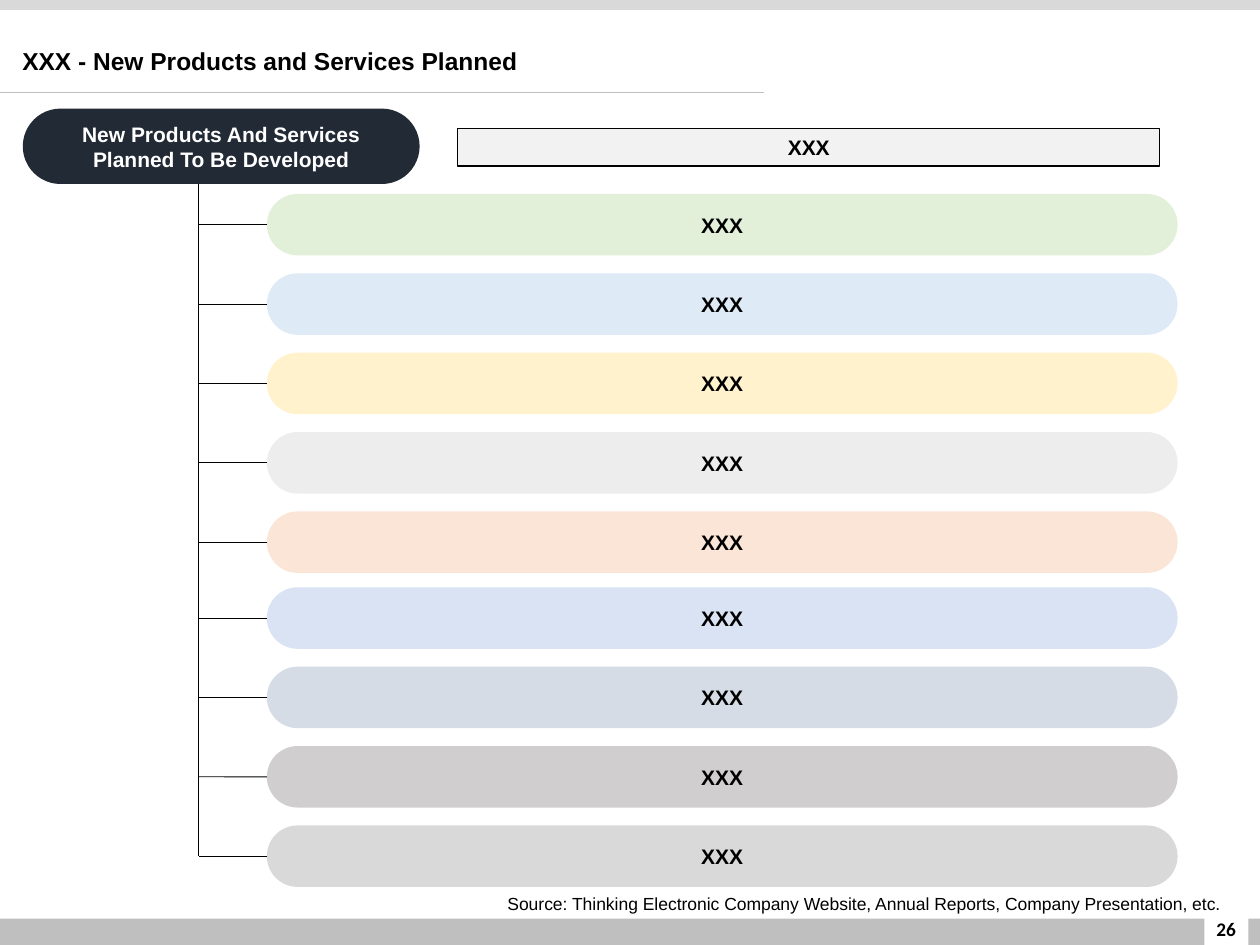
import pptx
import pptx.util
import pptx.dml.color
import pptx.enum.shapes
import pptx.enum.text
import pptx.oxml.ns
import lxml.etree

Cm = pptx.util.Cm
Pt = pptx.util.Pt
SHAPES = pptx.enum.shapes.MSO_SHAPE
ALIGN = pptx.enum.text.PP_ALIGN
ANCHOR = pptx.enum.text.MSO_ANCHOR

COLORS = {
    "black": "000000",
    "white": "FFFFFF",
    "footer": "BFBFBF",
    "top_band": "D9D9D9",
    "header": "222A35",
    "heading_fill": "F2F2F2",
    "green": "E2F0D9",
    "sky": "DEEBF7",
    "yellow": "FFF2CC",
    "silver": "EDEDED",
    "orange": "FBE5D6",
    "blue": "DAE3F3",
    "slate": "D6DCE5",
    "taupe": "D0CECE",
    "gray": "D9D9D9",
}

PILL_GROUPS = [
    (3.91, ["green", "sky", "yellow", "silver", "orange"]),
    (11.84, ["blue", "slate", "taupe", "gray"]),
]
PILL_LEFT, PILL_WIDTH, PILL_HEIGHT, PILL_STEP = 5.38, 18.36, 1.24, 1.6
SPINE_LEFT, SPINE_TOP = 4.01, 2.64
PILL_MARGINS = (0.18, 0.1)


def rgb(name):
    return pptx.dml.color.RGBColor.from_string(COLORS[name])


def write_text(shape, text, size=12, font="Arial", color="black", bold=True,
               align=ALIGN.CENTER, anchor=ANCHOR.MIDDLE, margins=(0.25, 0.13)):
    frame = shape.text_frame
    frame.word_wrap = True
    frame.vertical_anchor = anchor
    frame.margin_left = frame.margin_right = Cm(margins[0])
    frame.margin_top = frame.margin_bottom = Cm(margins[1])
    paragraph = frame.paragraphs[0]
    paragraph.alignment = align
    run = paragraph.add_run()
    run.text = text
    run.font.size = Pt(size)
    run.font.name = font
    run.font.bold = bold
    run.font.color.rgb = rgb(color)


def add_text(slide, box, text, **text_format):
    shape = slide.shapes.add_textbox(*map(Cm, box))
    write_text(shape, text, **text_format)


def add_box(slide, box, fill, kind=SHAPES.RECTANGLE, line=None):
    shape = slide.shapes.add_shape(kind, *map(Cm, box))
    shape.shadow.inherit = False
    shape.fill.solid()
    shape.fill.fore_color.rgb = rgb(fill)
    if line:
        shape.line.color.rgb = rgb(line)
        shape.line.width = Pt(0.75)
    else:
        shape.line.fill.background()
    return shape


def add_pill(slide, box, fill, text, **text_format):
    shape = add_box(slide, box, fill, SHAPES.ROUNDED_RECTANGLE)
    shape.adjustments[0] = 0.5
    write_text(shape, text, margins=PILL_MARGINS, **text_format)
    return shape


def add_line(slide, start, end, color="black"):
    connector = slide.shapes.add_connector(
        pptx.enum.shapes.MSO_CONNECTOR.STRAIGHT, *map(Cm, start + end))
    connector.line.color.rgb = rgb(color)
    connector.line.width = Pt(0.5)
    properties = connector._element.spPr
    lxml.etree.SubElement(properties, pptx.oxml.ns.qn("a:effectLst"))
    return connector


def add_frame(slide):
    add_box(slide, (0, 18.52, 25.45, 0.58), "footer")
    add_box(slide, (0, 0, 25.45, 0.2), "top_band")
    add_box(slide, (24.28, 18.11, 0.89, 0.97), "white")
    add_text(slide, (24.1, 18.21, 1.24, 1.02), "26", size=11, font="Calibri")
    add_line(slide, (0, 1.87), (15.4, 1.87), "footer")


def add_tree(slide):
    for first_top, fills in PILL_GROUPS:
        for index, fill in enumerate(fills):
            top = first_top + index * PILL_STEP
            middle = top + PILL_HEIGHT / 2
            pill = add_pill(slide, (PILL_LEFT, top, PILL_WIDTH, PILL_HEIGHT),
                            fill, "XXX")
            branch = add_line(slide, (SPINE_LEFT, middle), (PILL_LEFT, middle))
            branch.end_connect(pill, 1)
    add_line(slide, (SPINE_LEFT, SPINE_TOP), (SPINE_LEFT, middle))
    add_pill(slide, (0.46, 2.19, 8, 1.52), "header",
             "New Products And Services Planned To Be Developed", color="white")


def main():
    presentation = pptx.Presentation()
    presentation.slide_width = Cm(25.4)
    presentation.slide_height = Cm(19.05)
    slide = presentation.slides.add_slide(presentation.slide_layouts[6])
    add_frame(slide)
    add_text(slide, (0.2, 0.79, 16.81, 0.86),
             "XXX - New Products and Services Planned",
             size=14, align=ALIGN.LEFT, anchor=ANCHOR.TOP)
    add_text(slide, (7.54, 17.88, 17.3, 0.68),
             "Source: Thinking Electronic Company Website, Annual Reports, "
             "Company Presentation, etc.",
             size=10, bold=False, align=ALIGN.RIGHT, anchor=ANCHOR.TOP)
    add_tree(slide)
    heading = add_box(slide, (9.23, 2.59, 14.15, 0.76), "heading_fill", line="black")
    write_text(heading, "XXX", anchor=ANCHOR.TOP)
    presentation.save("out.pptx")


if __name__ == "__main__":
    main()
